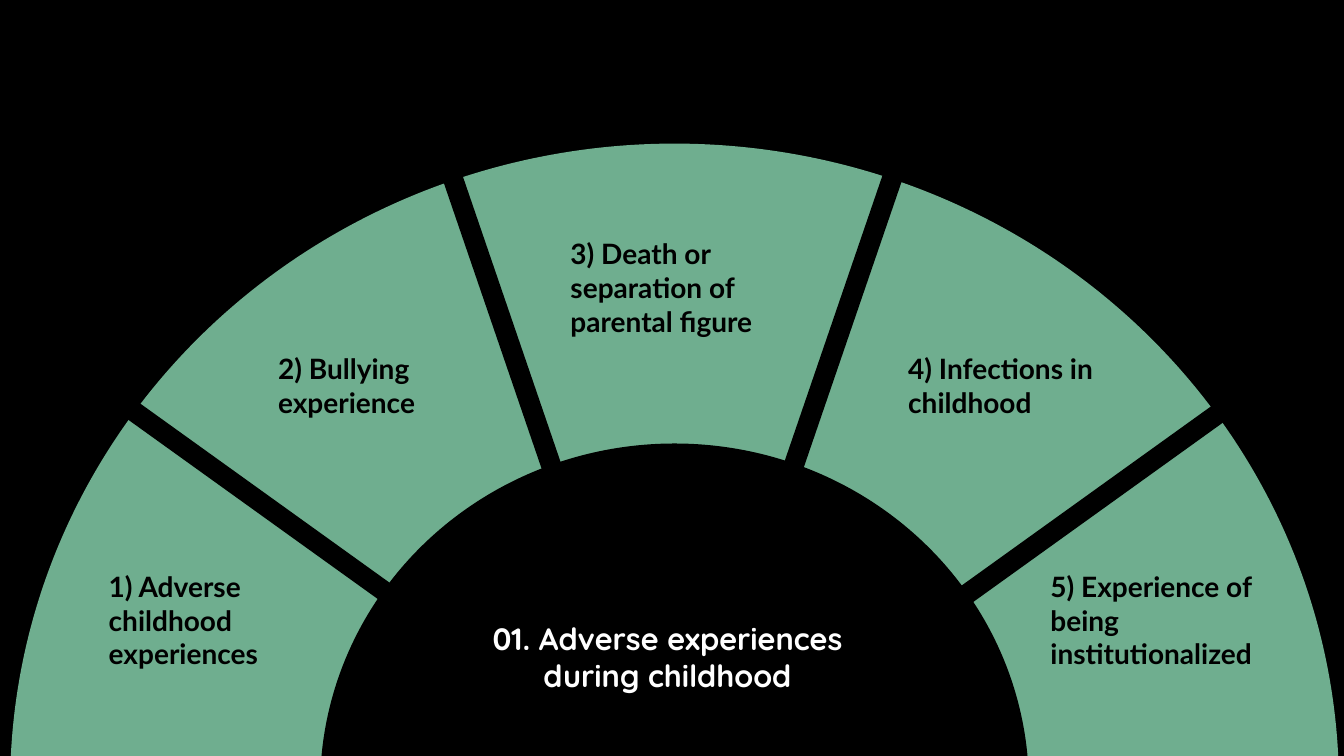
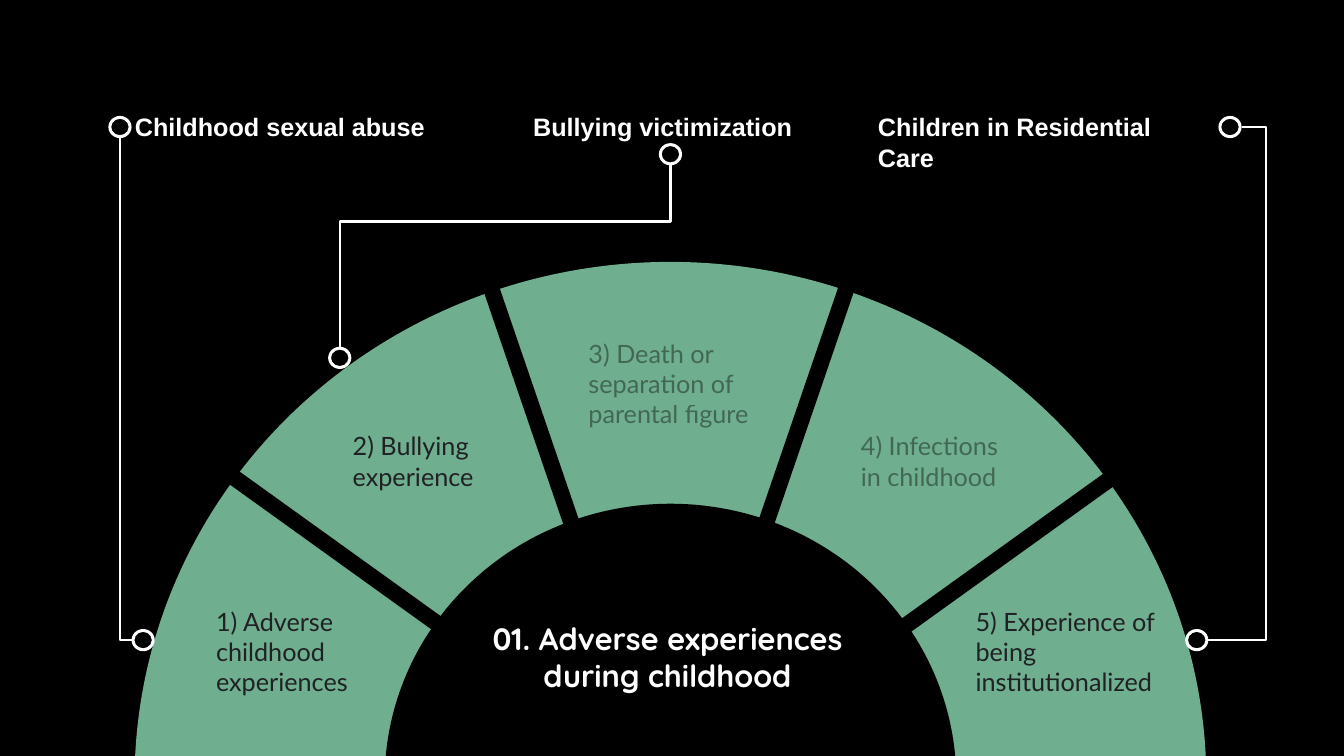
from pptx import Presentation
from pptx.dml.color import RGBColor
from pptx.enum.shapes import MSO_CONNECTOR, MSO_SHAPE
from pptx.enum.text import MSO_ANCHOR, MSO_AUTO_SIZE as AutoSize, PP_ALIGN
from pptx.oxml.ns import qn
from pptx.util import Inches, Pt
from lxml.etree import SubElement

BLACK = RGBColor(0x00, 0x00, 0x00)
WHITE = RGBColor(0xFF, 0xFF, 0xFF)
GREEN = RGBColor(0x6F, 0xAE, 0x8F)
CHARCOAL = RGBColor(0x20, 0x21, 0x24)

TITLE = "01. Adverse experiences during childhood"
RING_WIDTH, RING_HEIGHT = 13.18, 12.75
HUB_WIDTH, HUB_HEIGHT = 7.03, 6.8
SPOKE_WIDTH, SPOKE_HEIGHT = 0.2, 7.3
MARKER_WIDTH, MARKER_HEIGHT = 0.23, 0.22

SPOKES = [
    (-54.3, -3.04, -2.05),
    (-18.9, -1.27, -3.32),
    (18.9, 1.23, -3.32),
    (54.3, 2.99, -1.97),
]
LABELS = [
    ("1) Adverse childhood experiences", -5.71, -2.2, 1.89, 3),
    ("2) Bullying experience", -4.03, -4.36, 1.84, 2),
    ("3) Death or separation of parental figure", -1.13, -5.5, 2.26, 3),
    ("4) Infections in childhood", 2.22, -4.36, 2.1, 2),
    ("5) Experience of being institutionalized", 3.63, -2.2, 2.66, 3),
]
FADED_LABELS = {2, 3}
SIDES = {
    "top": (0, -MARKER_HEIGHT / 2),
    "left": (-MARKER_WIDTH / 2, 0),
    "bottom": (0, MARKER_HEIGHT / 2),
    "right": (MARKER_WIDTH / 2, 0),
}
CALLOUTS = [
    ("Childhood sexual abuse", 1.24, 3.24,
     (1.19, 1.26, "bottom"), (1.42, 6.35, "left"), None),
    ("Bullying victimization", 5.19, 2.87,
     (6.65, 1.53, "bottom"), (3.37, 3.55, "top"), 0.31),
    ("Children in Residential Care", 8.61, 3.53,
     (12.2, 1.26, "right"), (11.87, 6.35, "right"), -0.73),
]


def add_solid(slide, kind, center, size, color):
    (x, y), (width, height) = center, size
    shape = slide.shapes.add_shape(
        kind, Inches(x - width / 2), Inches(y - height / 2), Inches(width), Inches(height))
    shape.shadow.inherit = False
    shape.fill.solid()
    shape.fill.fore_color.rgb = color
    shape.line.fill.background()
    return shape


def style_span(span, font, size, color, bold):
    span.font.name = font
    span.font.size = Pt(size)
    span.font.color.rgb = color
    span.font.bold = bold


def add_label(slide, text, box, font, size, color, bold):
    label = slide.shapes.add_textbox(*map(Inches, box))
    frame = label.text_frame
    frame.word_wrap = True
    frame.auto_size = AutoSize.SHAPE_TO_FIT_TEXT
    frame.text = text
    span = frame.paragraphs[0].runs[0]
    style_span(span, font, size, color, bold)
    return span


def fade(span, percent):
    color = span.font.fill._xPr.find(qn("a:solidFill")).find(qn("a:srgbClr"))
    SubElement(color, qn("a:alpha")).set("val", str(percent * 1000))


def add_title(slide):
    title = slide.shapes.title
    title.left, title.top, title.width, title.height = map(Inches, (4.51, 6.1, 4.22, 0.84))
    frame = title.text_frame
    frame.text = TITLE
    frame.word_wrap = True
    frame.auto_size = AutoSize.NONE
    frame.vertical_anchor = MSO_ANCHOR.TOP
    para = frame.paragraphs[0]
    para.alignment = PP_ALIGN.CENTER
    style_span(para.runs[0], "Quicksand", 22, WHITE, True)
    slide.shapes._spTree.append(title._element)


def add_wheel(slide, center, scale, size, color, bold, faded=()):
    x, y = center
    add_solid(slide, MSO_SHAPE.DONUT, center, (RING_WIDTH * scale, RING_HEIGHT * scale), GREEN)
    add_solid(slide, MSO_SHAPE.OVAL, center, (HUB_WIDTH * scale, HUB_HEIGHT * scale), BLACK)
    for angle, dx, dy in SPOKES:
        spoke = add_solid(slide, MSO_SHAPE.RECTANGLE, (x + dx * scale, y + dy * scale),
                          (SPOKE_WIDTH * scale, SPOKE_HEIGHT * scale), BLACK)
        spoke.rotation = angle
    for index, (text, dx, dy, width, lines) in enumerate(LABELS):
        box = (x + dx * scale, y + dy * scale, width * scale, 0.1 + lines * size / 60)
        is_faded = index in faded
        span = add_label(slide, text, box, "Lato", size, BLACK if is_faded else color, bold)
        if is_faded:
            fade(span, 40)


def add_elbow(slide, start, end, vertical, bend):
    (x1, y1), (x2, y2) = start, end
    turn = None
    if vertical:
        x, y = (x1 + x2) / 2, (y1 + y2) / 2
        half_width, half_height = abs(y2 - y1) / 2, abs(x2 - x1) / 2
        turn, way = (270, -1) if x2 > x1 else (90, 1)
        x1, x2 = x - way * half_width, x + way * half_width
        y1, y2 = y - half_height, y + half_height
    elbow = slide.shapes.add_connector(MSO_CONNECTOR.ELBOW, *map(Inches, (x1, y1, x2, y2)))
    elbow.line.color.rgb = WHITE
    elbow.line.width = Pt(1.5)
    properties = elbow._element.spPr
    SubElement(properties, qn("a:effectLst"))
    if turn:
        properties.find(qn("a:xfrm")).set("rot", str(turn * 60000))
    geometry = properties.find(qn("a:prstGeom"))
    if bend is None:
        geometry.set("prst", "bentConnector2")
    else:
        guide = SubElement(geometry.find(qn("a:avLst")), qn("a:gd"))
        guide.set("name", "adj1")
        guide.set("fmla", f"val {round(bend * 100000)}")


def add_callout(slide, text, left, width, start, end, bend):
    add_label(slide, text, (left, 1.06, width, 0.4), "Arial", 18, WHITE, True)
    points = []
    for x, y, side in (start, end):
        marker = add_solid(slide, MSO_SHAPE.DONUT, (x, y), (MARKER_WIDTH, MARKER_HEIGHT), WHITE)
        marker.adjustments[0] = 0.13
        dx, dy = SIDES[side]
        points.append((x + dx, y + dy))
    add_elbow(slide, *points, start[2] == "bottom", bend)


def add_overview_slide(deck):
    slide = deck.slides.add_slide(deck.slide_layouts[5])
    add_wheel(slide, (6.69, 7.8), 1, 20, BLACK, True)
    add_title(slide)


def add_callout_slide(deck):
    slide = deck.slides.add_slide(deck.slide_layouts[5])
    add_wheel(slide, (6.65, 7.74), 10.63 / RING_WIDTH, 18, CHARCOAL, False, FADED_LABELS)
    add_title(slide)
    for callout in CALLOUTS:
        add_callout(slide, *callout)


def main():
    deck = Presentation()
    deck.slide_width, deck.slide_height = Inches(13.33), Inches(7.5)
    background = deck.slide_master.background.fill
    background.solid()
    background.fore_color.rgb = BLACK
    add_overview_slide(deck)
    add_callout_slide(deck)
    deck.save("out.pptx")


if __name__ == "__main__":
    main()
